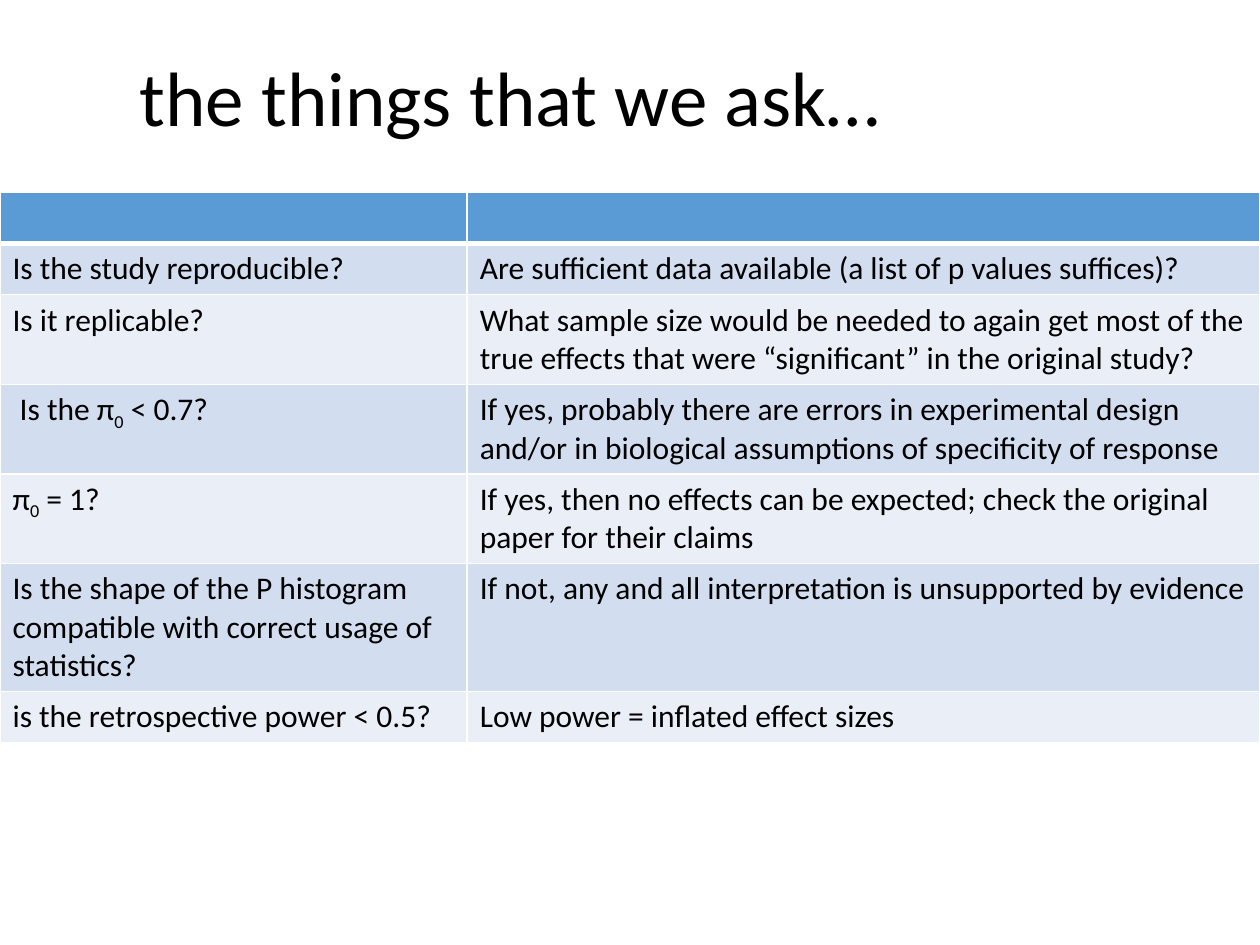
from dataclasses import dataclass

import lxml.etree
import pptx
import pptx.dml.color
import pptx.enum.text
import pptx.oxml.ns
import pptx.util

Pt = pptx.util.Pt
RGB = pptx.dml.color.RGBColor.from_string
qn = pptx.oxml.ns.qn


@dataclass(frozen=True)
class Theme:
    font: str = "Calibri"
    ink: str = "000000"
    header: str = "5B9BD5"
    bands: tuple = ("D2DEEF", "EAEFF7")
    rule: str = "FFFFFF"
    rule_width: float = 1
    header_rule_width: float = 3
    title_size: float = 44
    body_size: float = 18
    subscript: int = -25


THEME = Theme()

HEADING = "the things that we ask…"
QUESTIONS = [
    (["Is the study reproducible?"],
     "Are sufficient data available (a list of p values suffices)?"),
    (["Is it replicable?"],
     "What sample size would be needed to again get most of the true effects "
     "that were “significant” in the original study?"),
    ([" Is the π", "0", " < 0.7?"],
     "If yes, probably there are errors in experimental design and/or in "
     "biological assumptions of specificity of response"),
    (["π", "0", " = 1?"],
     "If yes, then no effects can be expected; check the original paper for their claims"),
    (["Is the shape of the P histogram compatible with correct usage of statistics?"],
     "If not, any and all interpretation is unsupported by evidence"),
    (["is the retrospective power < 0.5?"],
     "Low power = inflated effect sizes"),
]


def add_run(paragraph, text, size, subscript=False):
    run = paragraph.add_run()
    run.text = text
    run.font.name = THEME.font
    run.font.size = Pt(size)
    run.font.bold = False
    run.font.color.rgb = RGB(THEME.ink)
    if subscript:
        run.font._element.set("baseline", str(THEME.subscript * 1000))


def style_cell(cell, fill, top, bottom):
    properties = cell._tc.get_or_add_tcPr()
    widths = {"a:lnL": THEME.rule_width, "a:lnR": THEME.rule_width,
              "a:lnT": top, "a:lnB": bottom}
    for side, width in widths.items():
        line = lxml.etree.SubElement(properties, qn(side), w=str(Pt(width)))
        solid = lxml.etree.SubElement(line, qn("a:solidFill"))
        lxml.etree.SubElement(solid, qn("a:srgbClr"), val=THEME.rule)
    cell.fill.solid()
    cell.fill.fore_color.rgb = RGB(fill)


def place_title(slide, left, top, width, height):
    title = slide.shapes.title
    title.left, title.top, title.width, title.height = map(Pt, (left, top, width, height))
    frame = title.text_frame
    frame.word_wrap = True
    frame.auto_size = pptx.enum.text.MSO_AUTO_SIZE.NONE
    frame.vertical_anchor = pptx.enum.text.MSO_ANCHOR.MIDDLE
    paragraph = frame.paragraphs[0]
    paragraph.alignment = pptx.enum.text.PP_ALIGN.LEFT
    paragraph.line_spacing = 0.9
    add_run(paragraph, HEADING, THEME.title_size)


def place_questions(slide, left, top, width, row_height, question_width):
    row_count = len(QUESTIONS) + 1
    table = slide.shapes.add_table(
        row_count, 2, Pt(left), Pt(top), Pt(width), Pt(row_height * row_count)).table
    table.horz_banding = False
    table.columns[0].width = Pt(question_width)
    table.columns[1].width = Pt(width - question_width)
    for cell in table.rows[0].cells:
        style_cell(cell, THEME.header, THEME.rule_width, THEME.header_rule_width)
    for index, (question, meaning) in enumerate(QUESTIONS):
        top_rule = THEME.rule_width if index else THEME.header_rule_width
        for cell, parts in zip(table.rows[index + 1].cells, (question, [meaning])):
            style_cell(cell, THEME.bands[index % 2], top_rule, THEME.rule_width)
            for position, text in enumerate(parts):
                add_run(cell.text_frame.paragraphs[0], text, THEME.body_size,
                        subscript=position == 1)


def main():
    deck = pptx.Presentation()
    deck.slide_width, deck.slide_height = Pt(720), Pt(540)
    slide = deck.slides.add_slide(deck.slide_layouts.get_by_name("Title Only"))
    place_questions(slide, 0, 110, 720, 29.2, 267)
    place_title(slide, 72.5, 5.6, 647.5, 104.4)
    deck.save("out.pptx")


if __name__ == "__main__":
    main()
